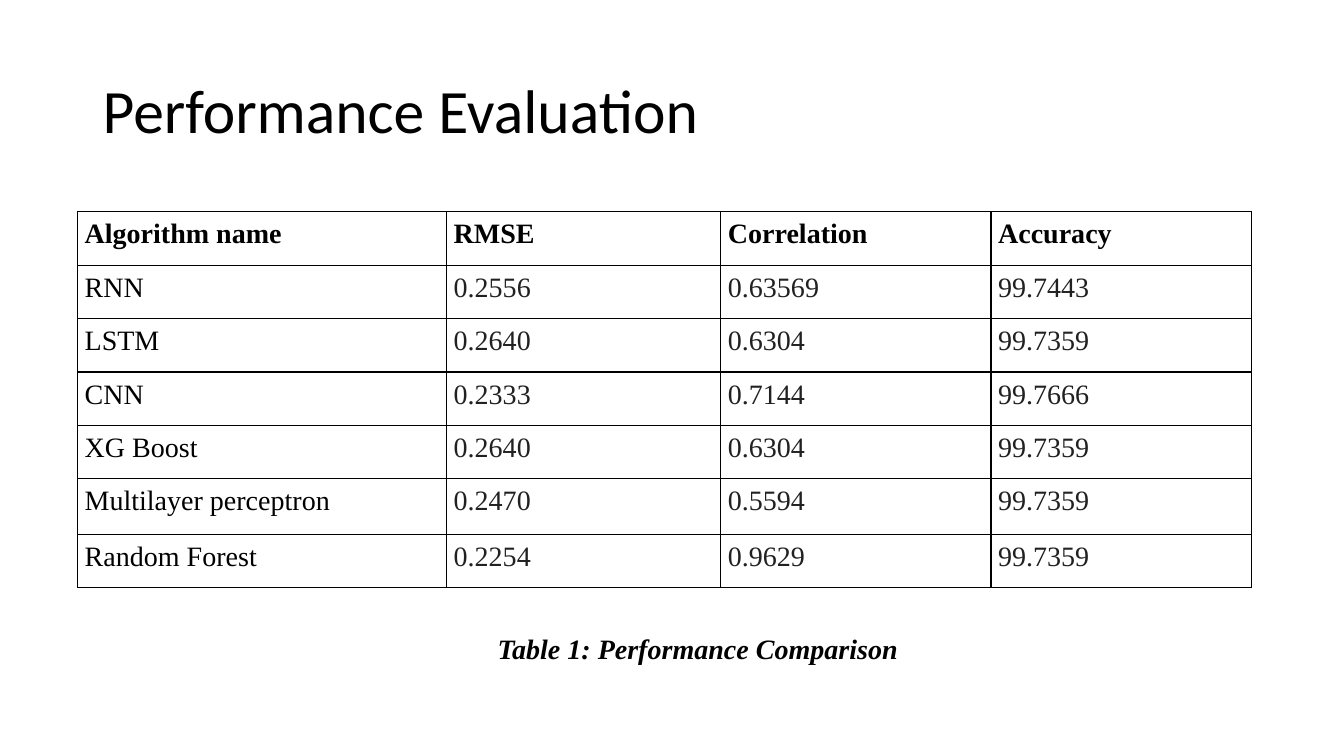
from lxml.etree import SubElement
from pptx import Presentation
from pptx.dml.color import RGBColor
from pptx.enum.text import MSO_ANCHOR, MSO_AUTO_SIZE, PP_ALIGN
from pptx.oxml.ns import qn
from pptx.util import Inches, Pt

BLACK = RGBColor(0x00, 0x00, 0x00)
GREY = RGBColor(0x21, 0x21, 0x21)
SERIF = "Times New Roman"
WIDTHS = [3.66, 2.72, 2.68, 2.58]
HEIGHTS = [0.53, 0.53, 0.53, 0.53, 0.53, 0.55, 0.53]
ROWS = [
    ("Algorithm name", "RMSE", "Correlation", "Accuracy"),
    ("RNN", "0.2556", "0.63569", "99.7443"),
    ("LSTM", "0.2640", "0.6304", "99.7359"),
    ("CNN", "0.2333", "0.7144", "99.7666"),
    ("XG Boost", "0.2640", "0.6304", "99.7359"),
    ("Multilayer perceptron", "0.2470", "0.5594", "99.7359"),
    ("Random Forest", "0.2254", "0.9629", "99.7359"),
]


def add_run(para, text, size, face, color=BLACK, bold=False, italic=False):
    """Add one styled run to a paragraph."""
    run = para.add_run()
    run.text = text
    font = run.font
    font.size, font.name = Pt(size), face
    font.bold, font.italic = bold, italic
    font.color.rgb = color


def add_box(slide, left, top, width, height):
    """Add a wrapping text box and return its frame."""
    box = slide.shapes.add_textbox(
        Inches(left), Inches(top), Inches(width), Inches(height))
    box.text_frame.word_wrap = True
    return box.text_frame


def add_title(slide, text):
    """Add the slide title."""
    frame = add_box(slide, 0.92, 0.4, 11.5, 1.45)
    frame.vertical_anchor = MSO_ANCHOR.MIDDLE
    para = frame.paragraphs[0]
    para.line_spacing = 0.9
    add_run(para, text, 44, "Calibri")


def add_caption(slide, text):
    """Add the centred caption below the table."""
    frame = add_box(slide, 3.55, 6.21, 6.67, 0.45)
    frame.auto_size = MSO_AUTO_SIZE.SHAPE_TO_FIT_TEXT
    frame.margin_left = Inches(0.17)
    para = frame.paragraphs[0]
    para.alignment = PP_ALIGN.CENTER
    para.line_spacing = 1.03
    para.space_after = Pt(0.2)
    add_run(para, text, 20, SERIF, bold=True, italic=True)


def add_edges(cell):
    """Draw a thin black border on all four sides of a cell."""
    props = cell._tc.get_or_add_tcPr()
    for side in ("a:lnL", "a:lnR", "a:lnT", "a:lnB"):
        line = SubElement(props, qn(side), w=str(Pt(1)))
        fill = SubElement(line, qn("a:solidFill"))
        SubElement(fill, qn("a:srgbClr"), val=str(BLACK))


def fill_cell(cell, text, color, bold):
    """Set the text, margins and border of a cell."""
    cell.margin_left = cell.margin_right = Inches(0.07)
    cell.margin_top = cell.margin_bottom = Inches(0.05)
    add_edges(cell)
    cell.fill.background()
    para = cell.text_frame.paragraphs[0]
    para.line_spacing = 1.07
    add_run(para, text, 20, SERIF, color, bold)


def add_scores(slide):
    """Add the table of scores."""
    table = slide.shapes.add_table(
        len(ROWS), len(WIDTHS), Inches(0.77), Inches(2.1),
        Inches(sum(WIDTHS)), Inches(sum(HEIGHTS))).table
    table.horz_banding = False
    for col, width in zip(table.columns, WIDTHS):
        col.width = Inches(width)
    for row, height in zip(table.rows, HEIGHTS):
        row.height = Inches(height)
    for r, row in enumerate(ROWS):
        for c, text in enumerate(row):
            color = GREY if r and c else BLACK
            fill_cell(table.cell(r, c), text, color, r == 0)


def main():
    """Build and save the slide."""
    deck = Presentation()
    deck.slide_width, deck.slide_height = Inches(13.33), Inches(7.5)
    slide = deck.slides.add_slide(deck.slide_layouts[6])
    add_title(slide, "Performance Evaluation")
    add_scores(slide)
    add_caption(slide, "Table 1: Performance Comparison")
    deck.save("out.pptx")


if __name__ == "__main__":
    main()
